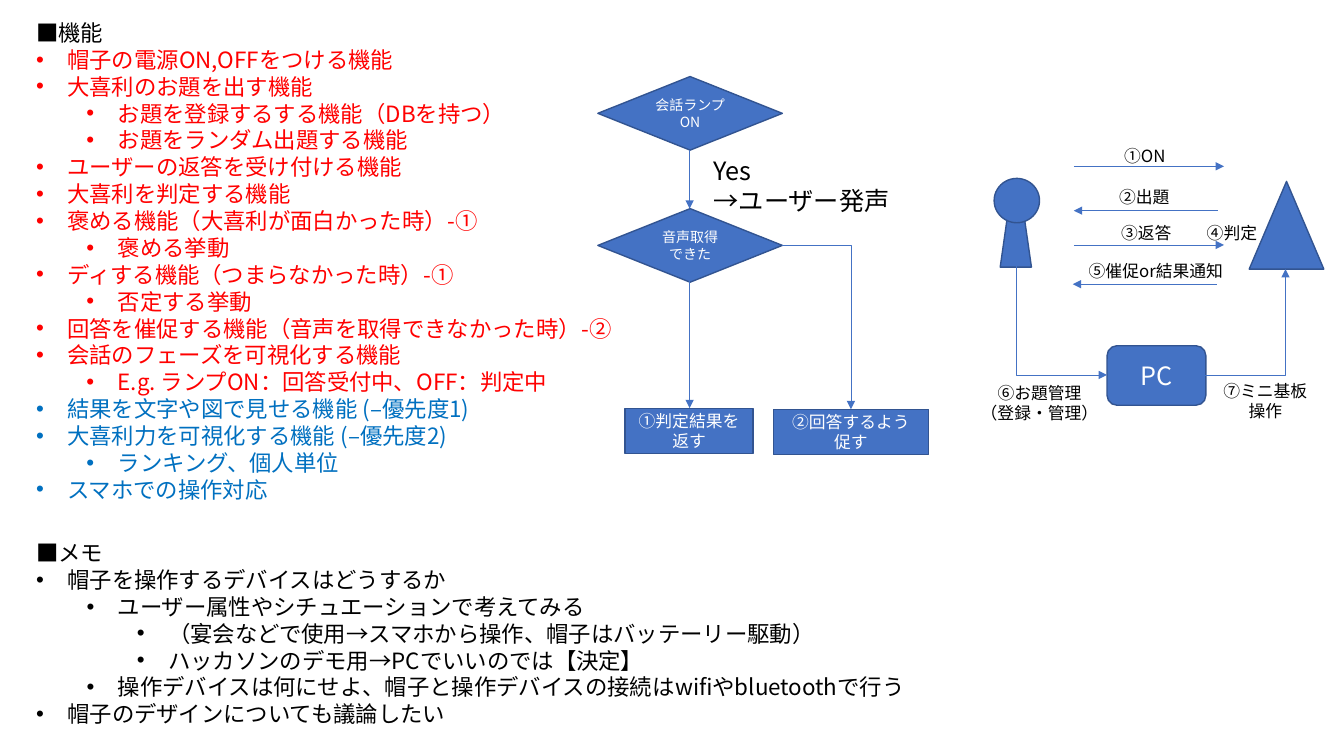
from pptx import Presentation
from pptx.dml.color import RGBColor
from pptx.enum.shapes import MSO_CONNECTOR, MSO_SHAPE
from pptx.enum.text import MSO_ANCHOR, MSO_AUTO_SIZE, PP_ALIGN
from pptx.oxml.ns import qn
from pptx.util import Inches, Pt
from lxml import etree

DIAMOND, RECT = MSO_SHAPE.DIAMOND, MSO_SHAPE.RECTANGLE
ROUNDED, OVAL = MSO_SHAPE.ROUNDED_RECTANGLE, MSO_SHAPE.OVAL
TRIANGLE, TRAPEZOID = MSO_SHAPE.ISOSCELES_TRIANGLE, MSO_SHAPE.TRAPEZOID
STRAIGHT, ELBOW = MSO_CONNECTOR.STRAIGHT, MSO_CONNECTOR.ELBOW
LEFT, CENTER = PP_ALIGN.LEFT, PP_ALIGN.CENTER
MIDDLE, GROW = MSO_ANCHOR.MIDDLE, MSO_AUTO_SIZE.SHAPE_TO_FIT_TEXT

FONT = "Noto Sans CJK JP"
BLUE, OUTLINE, WHITE, BLACK = "4472C4", "325491", "FFFFFF", "000000"
MUST, LATER = "FF0000", "0070C0"

# Outline entries: (level, text, colour); level None is a heading
FEATURES = [
    (None, "■機能", BLACK),
    (0, "帽子の電源ON,OFFをつける機能", MUST),
    (0, "大喜利のお題を出す機能", MUST),
    (1, "お題を登録するする機能（DBを持つ）", MUST),
    (1, "お題をランダム出題する機能", MUST),
    (0, "ユーザーの返答を受け付ける機能", MUST),
    (0, "大喜利を判定する機能", MUST),
    (0, "褒める機能（大喜利が面白かった時）-①", MUST),
    (1, "褒める挙動", MUST),
    (0, "ディする機能（つまらなかった時）-①", MUST),
    (1, "否定する挙動", MUST),
    (0, "回答を催促する機能（音声を取得できなかった時）-②", MUST),
    (0, "会話のフェーズを可視化する機能", MUST),
    (1, "E.g. ランプON：回答受付中、OFF：判定中", MUST),
    (0, "結果を文字や図で見せる機能 (–優先度1)", LATER),
    (0, "大喜利力を可視化する機能 (–優先度2)", LATER),
    (1, "ランキング、個人単位", LATER),
    (0, "スマホでの操作対応", LATER),
]
MEMOS = [
    (None, "■メモ", BLACK),
    (0, "帽子を操作するデバイスはどうするか", BLACK),
    (1, "ユーザー属性やシチュエーションで考えてみる", BLACK),
    (2, "（宴会などで使用→スマホから操作、帽子はバッテーリー駆動）", BLACK),
    (2, "ハッカソンのデモ用→PCでいいのでは【決定】", BLACK),
    (1, "操作デバイスは何にせよ、帽子と操作デバイスの接続はwifiやbluetoothで行う", BLACK),
    (0, "帽子のデザインについても議論したい", BLACK),
]
# Nodes: preset, box, text size, lines
NODES = [
    (DIAMOND, (5.93, 0.76, 1.83, 0.73), 10, ["会話ランプON"]),
    (DIAMOND, (5.93, 2.07, 1.83, 0.73), 10, ["音声取得", "できた"]),
    (RECT, (7.67, 4.06, 1.54, 0.45), 12, ["②回答するよう", "促す"]),
    (RECT, (6.2, 4.05, 1.27, 0.45), 12, ["①判定結果を", "返す"]),
    (TRIANGLE, (12.39, 1.8, 0.74, 0.87), 12, []),
    (TRAPEZOID, (9.92, 2.11, 0.31, 0.54), 12, []),
    (OVAL, (9.86, 1.77, 0.45, 0.44), 12, []),
    (ROUNDED, (10.98, 3.43, 0.98, 0.59), 18, ["PC"]),
]
# Arrows: preset, start, finish, end that carries the head
ARROWS = [
    (STRAIGHT, (6.84, 1.49), (6.84, 2.07), "tailEnd"),
    (STRAIGHT, (6.84, 2.79), (6.84, 4.05), "tailEnd"),
    (ELBOW, (7.76, 2.43), (8.44, 4.06), "tailEnd"),
    (STRAIGHT, (10.65, 1.65), (12.14, 1.65), "tailEnd"),
    (STRAIGHT, (12.08, 2.09), (10.65, 2.09), "tailEnd"),
    (STRAIGHT, (10.65, 2.43), (12.14, 2.43), "tailEnd"),
    (STRAIGHT, (12.07, 2.82), (10.64, 2.82), "tailEnd"),
    (ELBOW, (10.98, 3.72), (10.08, 2.64), "headEnd"),
    (ELBOW, (11.95, 3.72), (12.75, 2.67), "tailEnd"),
]
# Labels: box, text size, alignment, wrap, lines
LABELS = [
    ((6.98, 1.49, 1.97, 0.71), 18, LEFT, False, ["Yes", "→ユーザー発声"]),
    ((11.05, 1.4, 0.62, 0.3), 12, LEFT, False, ["①ON"]),
    ((11, 1.8, 0.71, 0.3), 12, LEFT, False, ["②出題"]),
    ((11.02, 2.16, 0.71, 0.3), 12, LEFT, False, ["③返答"]),
    ((11.87, 2.16, 0.71, 0.3), 12, LEFT, False, ["④判定"]),
    ((10.7, 2.54, 1.54, 0.3), 12, LEFT, True, ["⑤催促or結果通知"]),
    ((9.62, 3.75, 1.38, 0.5), 12, CENTER, False, ["⑥お題管理", "（登録・管理）"]),
    ((12.03, 3.73, 1.04, 0.5), 12, CENTER, False, ["⑦ミニ基板", "操作"]),
]


def rgb(code):
    return RGBColor.from_string(code)


def inches(values):
    return [Inches(value) for value in values]


def apply(target, formats):
    for key, value in formats.items():
        setattr(target, key, value)


def add_line(frame, index, text, size, color, align):
    line = frame.paragraphs[0] if index == 0 else frame.add_paragraph()
    line.alignment = align
    run = line.add_run()
    run.text = text
    apply(run.font, {"size": Pt(size), "name": FONT})
    run.font.color.rgb = rgb(color)
    etree.SubElement(run.font._element, qn("a:ea"), typeface=FONT)
    return line


def set_bullet(line, level):
    line.level = level
    props = line._p.get_or_add_pPr()
    props.set("marL", str(Inches(0.31 + 0.5 * level)))
    props.set("indent", str(Inches(-0.31)))
    etree.SubElement(props, qn("a:buFont"), typeface="Arial")
    etree.SubElement(props, qn("a:buChar"), char="•")


def add_text_frame(slide, box, wrap):
    frame = slide.shapes.add_textbox(*inches(box)).text_frame
    apply(frame, {"word_wrap": wrap, "auto_size": GROW})
    return frame


def add_outline(slide, box, entries):
    frame = add_text_frame(slide, box, True)
    for index, (level, text, color) in enumerate(entries):
        line = add_line(frame, index, text, 16, color, LEFT)
        if level is not None:
            set_bullet(line, level)


def add_label(slide, box, size, align, wrap, lines):
    frame = add_text_frame(slide, box, wrap)
    for index, text in enumerate(lines):
        add_line(frame, index, text, size, BLACK, align)


def add_node(slide, preset, box, size, lines):
    node = slide.shapes.add_shape(preset, *inches(box))
    node.shadow.inherit = False
    node.fill.solid()
    node.fill.fore_color.rgb = rgb(BLUE)
    node.line.color.rgb = rgb(OUTLINE)
    node.line.width = Pt(1)
    apply(node.text_frame, {"word_wrap": True, "vertical_anchor": MIDDLE})
    for index, text in enumerate(lines):
        add_line(node.text_frame, index, text, size, WHITE, CENTER)


def add_arrow(slide, preset, start, finish, head):
    arrow = slide.shapes.add_connector(preset, *inches(start + finish))
    arrow.line.color.rgb = rgb(BLUE)
    arrow.line.width = Pt(0.5)
    props = arrow._element.spPr
    if preset == ELBOW:  # a single corner
        props.find(qn("a:prstGeom")).set("prst", "bentConnector2")
    etree.SubElement(props.find(qn("a:ln")), qn("a:" + head), type="triangle")
    etree.SubElement(props, qn("a:effectLst"))


def main():
    deck = Presentation()
    apply(deck, {"slide_width": Inches(13.33), "slide_height": Inches(7.5)})
    slide = deck.slides.add_slide(deck.slide_layouts[6])

    # Feature list and memo
    add_outline(slide, (0.26, 0.14, 6.67, 5.22), FEATURES)
    add_outline(slide, (0.26, 5.3, 11.61, 1.99), MEMOS)

    # Conversation flow and device diagram
    for node in NODES:
        add_node(slide, *node)
    for arrow in ARROWS:
        add_arrow(slide, *arrow)
    for label in LABELS:
        add_label(slide, *label)

    deck.save("out.pptx")


if __name__ == "__main__":
    main()
